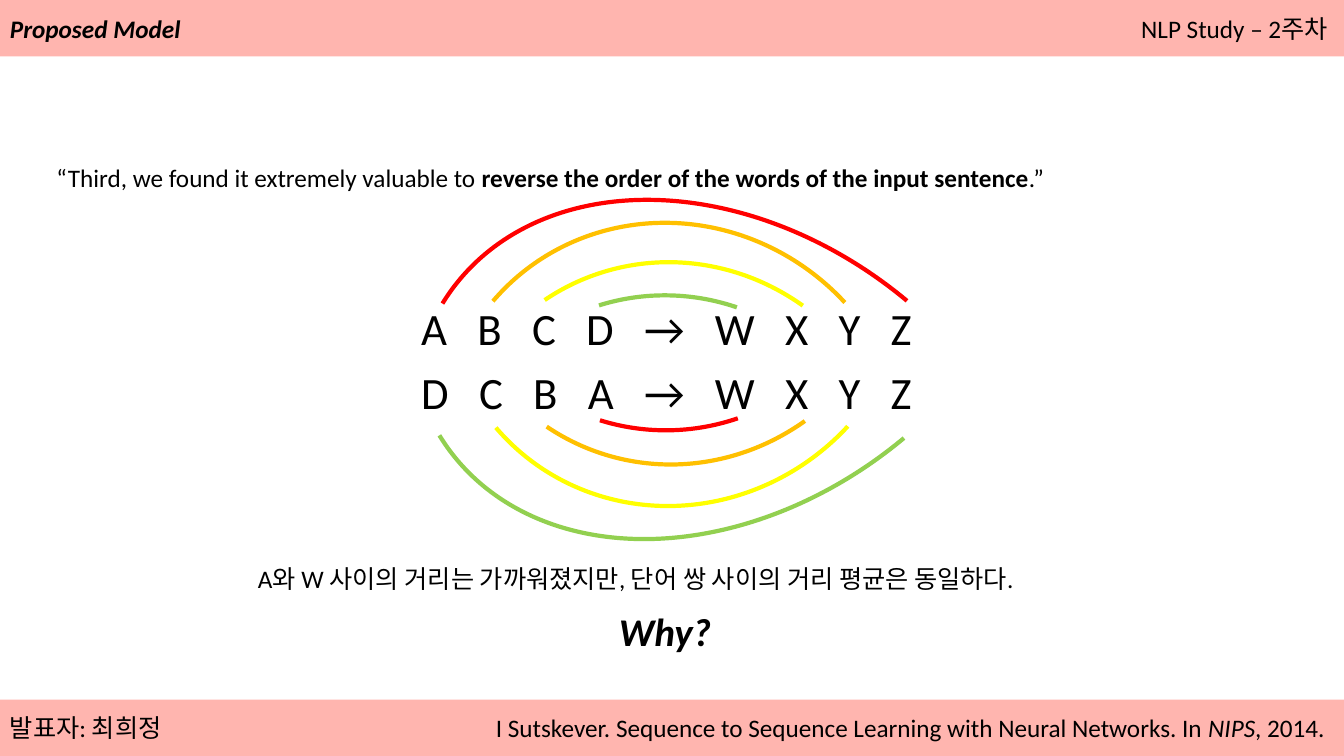
from lxml.etree import SubElement
from pptx import Presentation
from pptx.dml.color import RGBColor
from pptx.enum.shapes import MSO_SHAPE
from pptx.enum.text import MSO_AUTO_SIZE
from pptx.oxml.ns import qn
from pptx.util import Inches, Pt

PINK = RGBColor(0xFF, 0xB5, 0xAF)
BLACK = RGBColor(0, 0, 0)
RED = RGBColor(0xFF, 0, 0)
AMBER = RGBColor(0xFF, 0xC0, 0)
YELLOW = RGBColor(0xFF, 0xFF, 0)
GREEN = RGBColor(0x92, 0xD0, 0x50)

WIDE, HIGH = 13.33, 7.5
BAR = 0.56
PLAIN = {"name": "Calibri", "size": Pt(18), "bold": False, "italic": False}
BOLD = {"bold": True}
SLANT = {"italic": True}
TITLE = {"bold": True, "italic": True}

# Word pairs, from the outer to the inner one
PAIRS = [RED, AMBER, YELLOW, GREEN]
# Width, height, turn, start and end angle; then the upper and lower corner
ARCS = [
    (5.28, 6.97, -51.7, 266.07, 2.79, (0.54, -1.44), (0.51, -4.06)),
    (4.57, 4.77, -45.3, 266.07, 2.79, (0.33, -0.77), (0.36, -2.63)),
    (4.57, 4.77, -19.8, 256.9, 322.94, (0.33, -0.34), (0.35, -3.08)),
    (4.57, 4.77, -3.1, 256.9, 290.35, (0.24, 0), (0.25, -3.43)),
]


def write(slide, box, parts, gap=0, lead=None, **style):
    """Put one line of text in a box; parts are (text, format) pairs."""
    label = slide.shapes.add_textbox(*map(Inches, box))
    frame = label.text_frame
    frame.word_wrap = False
    frame.auto_size = MSO_AUTO_SIZE.SHAPE_TO_FIT_TEXT
    line = frame.paragraphs[0]
    if lead:
        line.line_spacing = lead
    for text, extra in parts:
        run = line.add_run()
        run.text = text
        run.font.color.rgb = BLACK
        for key, value in {**PLAIN, **style, **extra}.items():
            setattr(run.font, key, value)
        if gap:
            run.font._element.set("spc", str(round(gap * 100)))


def add_bar(slide, box, left, right, start):
    """Coloured strip with one text at the left and one from start on."""
    x, y, width, height = box
    strip = slide.shapes.add_shape(MSO_SHAPE.RECTANGLE, *map(Inches, box))
    strip.shadow.inherit = False
    strip.fill.solid()
    strip.fill.fore_color.rgb = PINK
    strip.line.fill.background()
    text_y = y + 0.08
    write(slide, (start, text_y, x + width - start, 0.4), right)
    write(slide, (x, text_y, 1.9, 0.4), left)


def add_arc(slide, box, turn, angles, colour, flip):
    arc = slide.shapes.add_shape(MSO_SHAPE.ARC, *map(Inches, box))
    arc.shadow.inherit = False
    arc.fill.background()
    arc.line.color.rgb = colour
    arc.line.width = Pt(3)
    arc.rotation = (-turn if flip else turn) % 360
    for i, angle in enumerate(angles):
        arc.adjustments[i] = angle * 0.6  # 60000 units a degree
    if flip:
        arc._element.spPr.find(qn("a:xfrm")).set("flipV", "1")


def add_pairs(slide, box):
    """Two rows of words with arcs above the first and below the second."""
    x, y, width, height = box
    row = height / 2
    for i, words in enumerate(["A B C D → W X Y Z", "D C B A → W X Y Z"]):
        write(slide, (x, y + i * row, width, row), [(words, {})],
              gap=7.2, size=Pt(32))
    for flip, colours in enumerate([PAIRS, PAIRS[::-1]]):
        for (wide, high, turn, start, end, *spots), colour in zip(ARCS, colours):
            dx, dy = spots[flip]
            add_arc(slide, (x + dx, y + dy, wide, high), turn,
                    (start, end), colour, flip)


def add_body(slide, box):
    """Quote, word pairs, remark and closing question."""
    x, y, width, height = box
    write(slide, (x + 0.46, y + 0.85, 10.09, 0.51), [
        ("“Third, we found it extremely valuable to ", {}),
        ("reverse the order of the words of the input sentence", BOLD),
        (".”", {}),
    ], lead=1.5)
    add_pairs(slide, (x + 4.08, y + 2.37, 5.16, 1.27))
    write(slide, (x + 2.46, y + 4.98, 8.28, 0.4), [
        ("A와 W 사이의 거리는 가까워졌지만, 단어 쌍 사이의 거리 평균은 동일하다.", {})])
    write(slide, (x + 6.04, y + 5.42, 1.12, 0.57), [("Why?", TITLE)],
          size=Pt(28))


def main():
    deck = Presentation()
    deck.slide_width, deck.slide_height = Inches(WIDE), Inches(HIGH)
    slide = deck.slides.add_slide(deck.slide_layouts[6])

    # Header and footer
    add_bar(slide, (0, 0, WIDE, BAR), [("Proposed Model", TITLE)],
            [("NLP Study – 2주차", {})], 11.22)
    add_bar(slide, (0, HIGH - BAR, WIDE, BAR), [("발표자: 최희정", {})], [
        ("I Sutskever. Sequence to Sequence Learning with Neural Networks. In ", {}),
        ("NIPS", SLANT),
        (", 2014.", {}),
    ], 4.82)

    # Main part
    add_body(slide, (0, BAR, WIDE, HIGH - 2 * BAR))
    deck.save("out.pptx")


if __name__ == "__main__":
    main()
